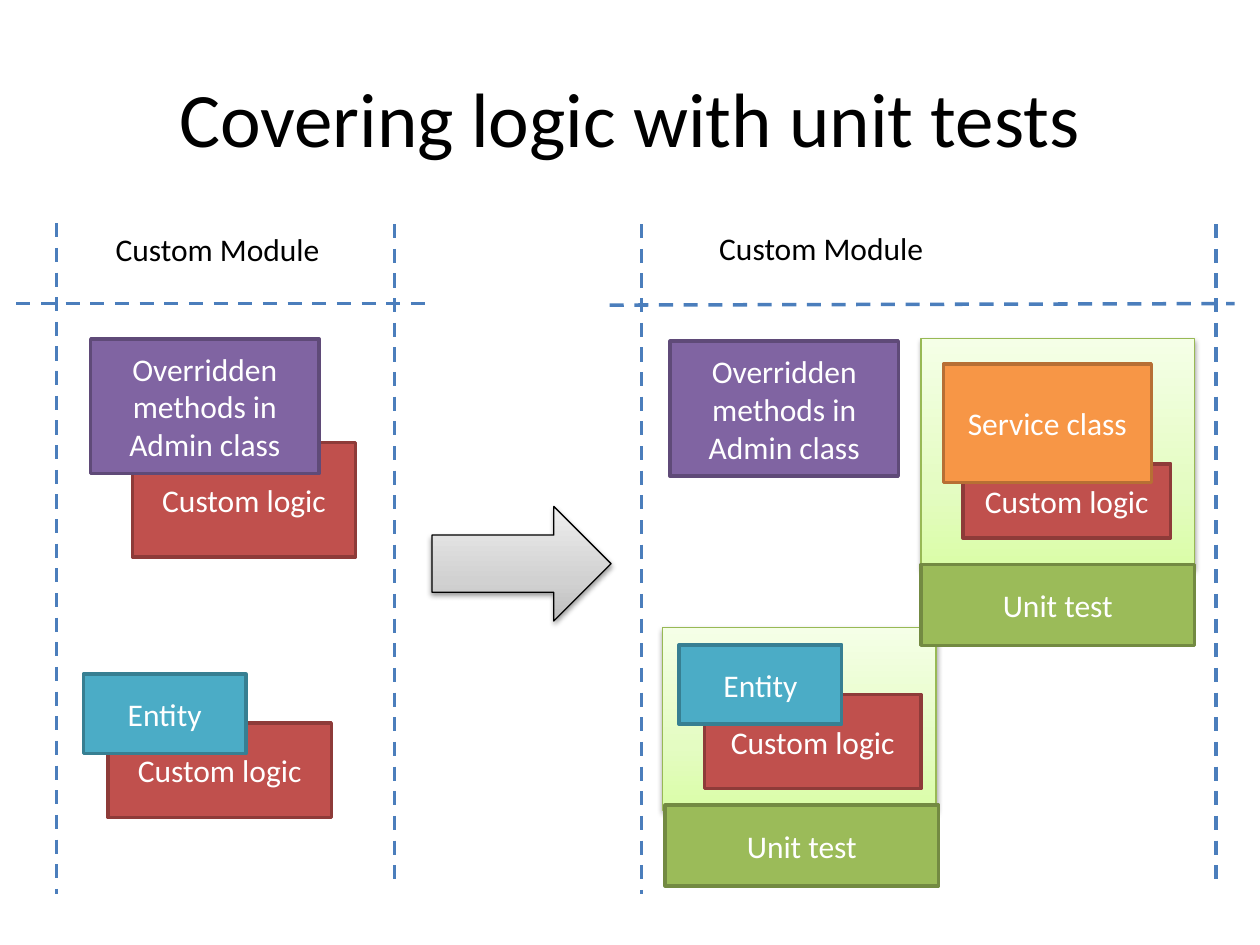
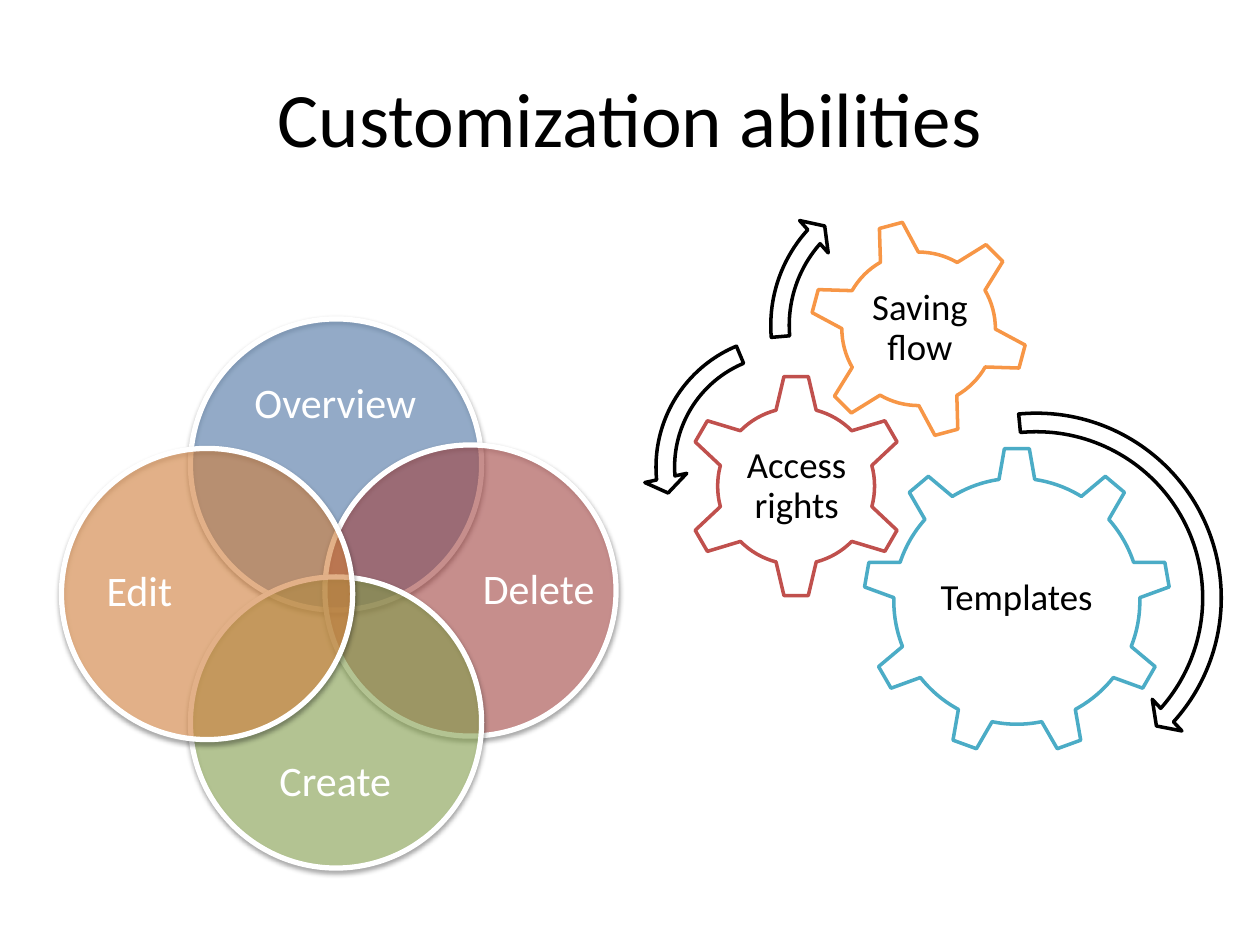
from copy import deepcopy

from lxml import etree
from pptx import Presentation
from pptx import util as u
from pptx.dml.color import RGBColor
from pptx.enum import dml, shapes, text
from pptx.oxml.ns import qn

COLORS = {
    "black": "000000", "white": "FFFFFF", "guide": "4B7EBC",
    "blue": "4F81BD", "red": "C0504D", "purple": "8064A2",
    "teal": "4BACC6", "orange": "F79646", "green": "9BBB59",
    "red_edge": "8E3B39", "purple_edge": "5F4A78", "teal_edge": "377F92",
    "orange_edge": "B76F34", "green_edge": "738A42", "panel_edge": "98B955",
}
GREEN_FADE = ("DAFDA7", "E4FCC2", "F5FFE7")
GREY_FADE = ("BDBDBD", "D1D1D1", "EEEEEE")
FADE_STOPS = (0, 0.35, 1)
FONT = "Calibri"
S = shapes.MSO_SHAPE


def rgb(name):
    return RGBColor.from_string(COLORS.get(name, name))


def cm(*values):
    return [u.Cm(v) for v in values]


def sub(parent, tag, **attrs):
    return etree.SubElement(parent, qn(tag), {k: str(v) for k, v in attrs.items()})


class Deck:
    """Holds the shared style and the slide or group being drawn on."""

    def __init__(self):
        self.prs = Presentation()
        self.prs.slide_width, self.prs.slide_height = cm(25.4, 19.05)

    def slide(self, title):
        self.s = self.prs.slides.add_slide(self.prs.slide_layouts[6])
        self.target = self.s.shapes
        self.label(title, (1.27, 0.76, 22.86, 3.18), 44)

    def group(self):
        """Send the following elements into a new group."""
        self.target = self.s.shapes.add_group_shape().shapes

    def set_text(self, sp, words, size, color, align=text.PP_ALIGN.CENTER, spacing=None):
        tf = sp.text_frame
        tf.word_wrap = True
        tf.vertical_anchor = text.MSO_ANCHOR.MIDDLE
        p = tf.paragraphs[0]
        p.alignment = align
        if spacing:
            p.line_spacing = spacing
        r = p.add_run()
        r.text = words
        r.font.name, r.font.size = FONT, u.Pt(size)
        r.font.color.rgb = rgb(color)
        return tf

    def label(self, words, at, size, color="black", inset=None, spacing=None):
        sp = self.target.add_textbox(*cm(*at))
        tf = self.set_text(sp, words, size, color, spacing=spacing)
        if inset is not None:
            tf.margin_left = tf.margin_right = u.Cm(inset)
            tf.margin_top = tf.margin_bottom = u.Cm(inset)

    def heading(self, words, at):
        """One-line label that grows with its text."""
        sp = self.target.add_textbox(*cm(*at))
        tf = self.set_text(sp, words, 18, "black", text.PP_ALIGN.LEFT)
        tf.vertical_anchor = text.MSO_ANCHOR.TOP
        tf.word_wrap = False
        tf.auto_size = text.MSO_AUTO_SIZE.SHAPE_TO_FIT_TEXT

    def shape(self, kind, at, fill, edge, width=2.0):
        sp = self.target.add_shape(kind, *cm(*at))
        sp.shadow.inherit = False
        sp.fill.solid()
        sp.fill.fore_color.rgb = rgb(fill)
        sp.line.color.rgb = rgb(edge)
        sp.line.width = u.Pt(width)
        return sp

    def drop_shadow(self, sp):
        effects = sp._element.spPr.find(qn("a:effectLst"))
        shadow = sub(effects, "a:outerShdw", blurRad=u.Pt(3.1), dist=u.Pt(1.6),
                     dir=5400000, rotWithShape=0)
        sub(sub(shadow, "a:srgbClr", val=COLORS["black"]), "a:alpha", val=38000)

    def box(self, words, at, color):
        sp = self.shape(S.RECTANGLE, at, color, color + "_edge")
        self.set_text(sp, words, 18, "white")

    def faded(self, kind, at, fade, edge):
        """Shape with a three-stop gradient rising from the bottom, and a shadow."""
        sp = self.shape(kind, at, fade[0], edge, 0.75)
        sp.fill.gradient()
        sp.fill.gradient_angle = 90
        stops = sp._element.spPr.find(qn("a:gradFill")).find(qn("a:gsLst"))
        stops.insert(1, deepcopy(stops[0]))
        for stop, position, color in zip(sp.fill.gradient_stops, FADE_STOPS, fade):
            stop.position = position
            stop.color.rgb = rgb(color)
        self.drop_shadow(sp)

    def guide(self, x1, y1, x2, y2):
        line = self.target.add_connector(shapes.MSO_CONNECTOR.STRAIGHT, *cm(x1, y1, x2, y2))
        line.line.color.rgb = rgb("guide")
        line.line.width = u.Pt(2)
        line.line.dash_style = dml.MSO_LINE.DASH
        sub(line._element.spPr, "a:effectLst")

    def circle(self, left, top, color, opacity, words, words_at):
        sp = self.shape(S.OVAL, (left, top, 5.87, 5.87), color, "white", 3)
        fill = sp._element.spPr.find(qn("a:solidFill"))
        sub(fill[0], "a:alpha", val=opacity * 1000)
        self.drop_shadow(sp)
        self.label(words, words_at, 24, "white", inset=0, spacing=0.9)

    def gear(self, kind, left, top, size, color, words, words_at, rotation=0):
        sp = self.shape(kind, (left, top, size, size), "white", color)
        sp.rotation = rotation
        self.label(words, words_at, 21, inset=0.08, spacing=0.9)

    def turn_arrow(self, kind, left, top, size, percents, degrees):
        """Curved arrow: percents are band and head, degrees are head, end and start."""
        sp = self.shape(kind, (left, top, size, size), "white", "black")
        band, head = (v / 100 for v in percents)
        angles = [d * 0.6 for d in degrees]  # 60000ths of a degree over 100000
        for i, value in enumerate([band, *angles, head]):
            sp.adjustments[i] = value


def unit_tests(d):
    d.slide("Covering logic with unit tests")
    for at in ((13.36, 12.65, 5.51, 3.68), (18.57, 6.83, 5.51, 4.62)):
        d.faded(S.RECTANGLE, at, GREEN_FADE, "panel_edge")

    for at in ((2.08, 4.52, 4.67, 1.02), (14.25, 4.5, 4.67, 1.02)):
        d.heading("Custom Module", at)
    for ends in ((1.14, 4.5, 1.14, 18.03), (7.95, 4.52, 7.95, 17.81),
                 (0.33, 6.12, 8.74, 6.12), (12.93, 4.52, 12.93, 18.03),
                 (24.51, 4.52, 24.51, 17.91), (12.29, 6.15, 24.89, 6.12)):
        d.guide(*ends)
    d.faded(S.RIGHT_ARROW, (8.71, 10.21, 3.61, 2.31), GREY_FADE, "black")

    for at in ((2.18, 14.58, 4.5, 1.9), (2.67, 8.92, 4.5, 2.31),
               (14.2, 14, 4.37, 1.9), (19.41, 9.35, 4.19, 1.5)):
        d.box("Custom logic", at, "red")
    for left, top in ((1.83, 6.83), (13.51, 6.88)):
        d.box("Overridden methods in Admin class", (left, top, 4.6, 2.72), "purple")
    for left, top in ((1.68, 13.59), (13.69, 13)):
        d.box("Entity", (left, top, 3.28, 1.6), "teal")
    d.box("Service class", (19.02, 7.34, 4.19, 2.39), "orange")
    for left, top in ((18.57, 11.38), (13.41, 16.23)):
        d.box("Unit test", (left, top, 5.51, 1.63), "green")


def customization(d):
    d.slide("Customization abilities")
    d.group()
    d.circle(3.84, 6.43, "blue", 47, "Overview", (4.5, 7.24, 4.52, 1.85))
    d.circle(6.55, 8.97, "red", 50, "Delete", (9.73, 9.65, 2.26, 4.52))
    d.circle(3.84, 11.63, "green", 50, "Create", (4.5, 14.86, 4.52, 1.85))
    d.circle(1.24, 9.04, "orange", 51, "Edit", (1.68, 9.7, 2.26, 4.52))

    d.group()
    d.gear(S.GEAR_9, 17.4, 9.02, 6.2, "teal", "Templates", (18.64, 10.46, 3.71, 3.2))
    d.gear(S.GEAR_6, 13.79, 7.54, 4.52, "red", "Access rights", (14.94, 8.69, 2.24, 2.24))
    d.gear(S.GEAR_6, 16.31, 4.42, 4.42, "orange", "Saving flow",
           (17.3, 5.38, 2.49, 2.49), rotation=345)
    d.turn_arrow(S.CIRCULAR_ARROW, 16.92, 8.08, 7.95, (4.7, 5.5), (4.98, 41.89, 264.47))
    d.turn_arrow(S.LEFT_CIRCULAR_ARROW, 12.98, 6.53, 5.77, (6.5, 7.5), (7.17, 174.82, 247.3))
    d.turn_arrow(S.CIRCULAR_ARROW, 15.29, 3.45, 6.22, (6, 7), (6.57, 221.9, 175.14))


def main():
    d = Deck()
    unit_tests(d)
    customization(d)
    d.prs.save("out.pptx")


if __name__ == "__main__":
    main()
